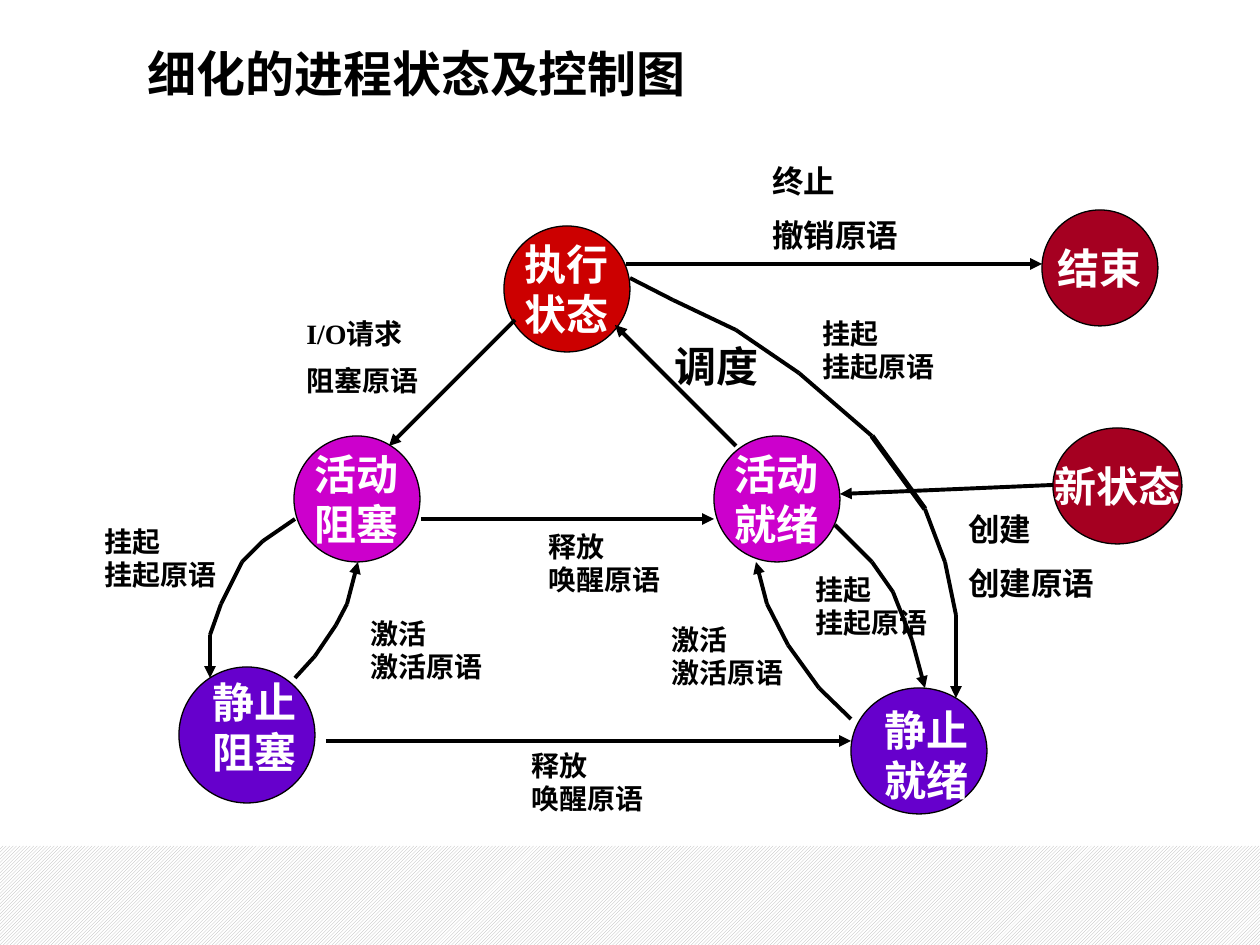
from typing import NamedTuple

from lxml.etree import SubElement
from pptx import Presentation
from pptx.dml.color import RGBColor
from pptx.enum.dml import MSO_PATTERN
from pptx.enum.shapes import MSO_CONNECTOR, MSO_SHAPE
from pptx.enum.text import MSO_ANCHOR, MSO_AUTO_SIZE, PP_ALIGN
from pptx.oxml.ns import qn
from pptx.slide import Slide
from pptx.text.text import TextFrame
from pptx.util import Emu, Pt

PX_PER_INCH = 126
BLACK = RGBColor(0x00, 0x00, 0x00)
WHITE = RGBColor(0xFF, 0xFF, 0xFF)
GRAY = RGBColor(0xB2, 0xB2, 0xB2)
RED = RGBColor(0xCC, 0x00, 0x00)
MAGENTA = RGBColor(0xCC, 0x00, 0xCC)
PURPLE = RGBColor(0x66, 0x00, 0xCC)
CRIMSON = RGBColor(0xA5, 0x00, 0x21)
LATIN_FONT = "Times New Roman"
CJK_FONT = "Noto Sans CJK SC"


class Box(NamedTuple):
    left: int
    top: int
    width: int
    height: int


class State(NamedTuple):
    box: Box
    color: RGBColor
    lines: tuple[str, ...] = ()


class Label(NamedTuple):
    box: Box
    lines: tuple[str, ...]
    size: int = 16
    color: RGBColor = BLACK
    space_before: int = 0
    wrap: bool = False


class Flow(NamedTuple):
    points: tuple[tuple[int, int], ...]
    arrow: bool = True
    width: float = 2.25


STATES = [
    State(Box(294, 436, 126, 126), MAGENTA, ("活动", "阻塞")),
    State(Box(504, 226, 126, 126), RED, ("执行", "状态")),
    State(Box(714, 436, 126, 126), MAGENTA, ("活动", "就绪")),
    State(Box(179, 667, 136, 136), PURPLE),
    State(Box(851, 688, 136, 126), PURPLE),
    State(Box(1053, 428, 129, 116), CRIMSON, ("新状态",)),
    State(Box(1042, 210, 116, 116), CRIMSON, ("结束",)),
]

FLOWS = [
    Flow(((736, 446), (615, 325))),
    Flow(((421, 519), (714, 519))),
    Flow(((515, 320), (389, 446))),
    Flow(((326, 741), (851, 741))),
    Flow(((626, 264), (1042, 264))),
    Flow(((1053, 485), (840, 494))),
    Flow(((295, 519), (263, 541), (242, 562), (221, 604), (210, 635), (210, 678))),
    Flow(((295, 678), (315, 656), (336, 625), (347, 604), (358, 562))),
    Flow(((851, 719), (819, 688), (788, 645), (767, 604), (756, 562))),
    Flow(((835, 525), (872, 562), (893, 592), (912, 640), (925, 688))),
    Flow(((630, 278), (673, 300), (736, 330), (799, 373), (872, 436)), arrow=False),
    Flow(((872, 436), (925, 509)), arrow=False, width=3),
    Flow(((925, 509), (945, 562), (956, 615), (956, 698))),
]

SUSPEND = ("挂起", "挂起原语")
ACTIVATE = ("激活", "激活原语")
RELEASE = ("释放", "唤醒原语")
LABELS = [
    Label(Box(872, 698, 116, 113), ("静止", "就绪"), 24, WHITE, wrap=True),
    Label(Box(200, 670, 110, 113), ("静止", "阻塞"), 24, WHITE),
    Label(Box(662, 334, 110, 63), ("调度",), 24),
    Label(Box(294, 310, 179, 97), ("I/O请求", "阻塞原语"), space_before=8, wrap=True),
    Label(Box(956, 504, 161, 108), ("创建", "创建原语"), 18, space_before=9, wrap=True),
    Label(Box(760, 156, 204, 108), ("终止", "撤销原语"), 18, space_before=9, wrap=True),
] + [
    Label(Box(left, top, 140, 81), lines)
    for left, top, lines in (
        (536, 523, RELEASE), (519, 742, RELEASE),
        (92, 518, SUSPEND), (810, 310, SUSPEND), (803, 566, SUSPEND),
        (358, 610, ACTIVATE), (659, 616, ACTIVATE),
    )
]


def px(length: int) -> Emu:
    return Emu(round(length * 914400 / PX_PER_INCH))


def scaled(box: Box) -> tuple[Emu, ...]:
    return tuple(px(length) for length in box)


def write_lines(frame: TextFrame, lines: tuple[str, ...], size: int, color: RGBColor,
                align: PP_ALIGN = PP_ALIGN.LEFT, space_before: int = 0,
                font_name: str = LATIN_FONT) -> None:
    """Write one bold paragraph per line, spaced apart by space_before points."""
    for index, line in enumerate(lines):
        paragraph = frame.add_paragraph() if index else frame.paragraphs[0]
        paragraph.alignment = align
        paragraph.space_before = Pt(space_before if index else 0)
        run = paragraph.add_run()
        run.text = line
        run.font.name = font_name
        run.font.size = Pt(size)
        run.font.bold = True
        run.font.color.rgb = color
        east_asian = SubElement(run.font._element, qn("a:ea"))
        east_asian.set("typeface", CJK_FONT)


def set_title(slide: Slide, text: str) -> None:
    title = slide.shapes.title
    title.left, title.top, title.width, title.height = scaled(Box(135, 37, 645, 72))
    frame = title.text_frame
    frame.vertical_anchor = MSO_ANCHOR.TOP
    frame.word_wrap = True
    write_lines(frame, (text,), 28, BLACK, font_name=CJK_FONT)


def draw_footer_band(slide: Slide) -> None:
    band = slide.shapes.add_shape(MSO_SHAPE.RECTANGLE, *scaled(Box(0, 846, 1260, 99)))
    band.shadow.inherit = False
    band.fill.patterned()
    band.fill.pattern = MSO_PATTERN.DARK_UPWARD_DIAGONAL
    band.fill.fore_color.rgb = GRAY
    band.fill.back_color.rgb = WHITE
    band.line.fill.background()


def draw_state(slide: Slide, state: State) -> None:
    circle = slide.shapes.add_shape(MSO_SHAPE.OVAL, *scaled(state.box))
    circle.shadow.inherit = False
    circle.fill.solid()
    circle.fill.fore_color.rgb = state.color
    circle.line.color.rgb = BLACK
    circle.line.width = Pt(0.75)
    frame = circle.text_frame
    frame.word_wrap = False
    frame.vertical_anchor = MSO_ANCHOR.MIDDLE
    write_lines(frame, state.lines, 24, WHITE, PP_ALIGN.CENTER)


def draw_flow(slide: Slide, flow: Flow) -> None:
    """Draw a chain of straight segments, with an arrowhead on the last one."""
    for start, end in zip(flow.points, flow.points[1:]):
        segment = slide.shapes.add_connector(
            MSO_CONNECTOR.STRAIGHT, *(px(length) for length in start + end))
        segment.line.color.rgb = BLACK
        segment.line.width = Pt(flow.width)
        SubElement(segment._element.spPr, qn("a:effectLst"))
        if flow.arrow and end == flow.points[-1]:
            SubElement(segment.line._get_or_add_ln(), qn("a:tailEnd")).set("type", "triangle")


def draw_label(slide: Slide, label: Label) -> None:
    frame = slide.shapes.add_textbox(*scaled(label.box)).text_frame
    frame.word_wrap = label.wrap
    frame.auto_size = MSO_AUTO_SIZE.SHAPE_TO_FIT_TEXT
    write_lines(frame, label.lines, label.size, label.color, space_before=label.space_before)


def main() -> None:
    presentation = Presentation()
    presentation.slide_width, presentation.slide_height = px(1260), px(945)
    slide = presentation.slides.add_slide(presentation.slide_layouts[5])
    draw_footer_band(slide)
    set_title(slide, "细化的进程状态及控制图")
    for state in STATES:
        draw_state(slide, state)
    for flow in FLOWS:
        draw_flow(slide, flow)
    for label in LABELS:
        draw_label(slide, label)
    presentation.save("out.pptx")


if __name__ == "__main__":
    main()
